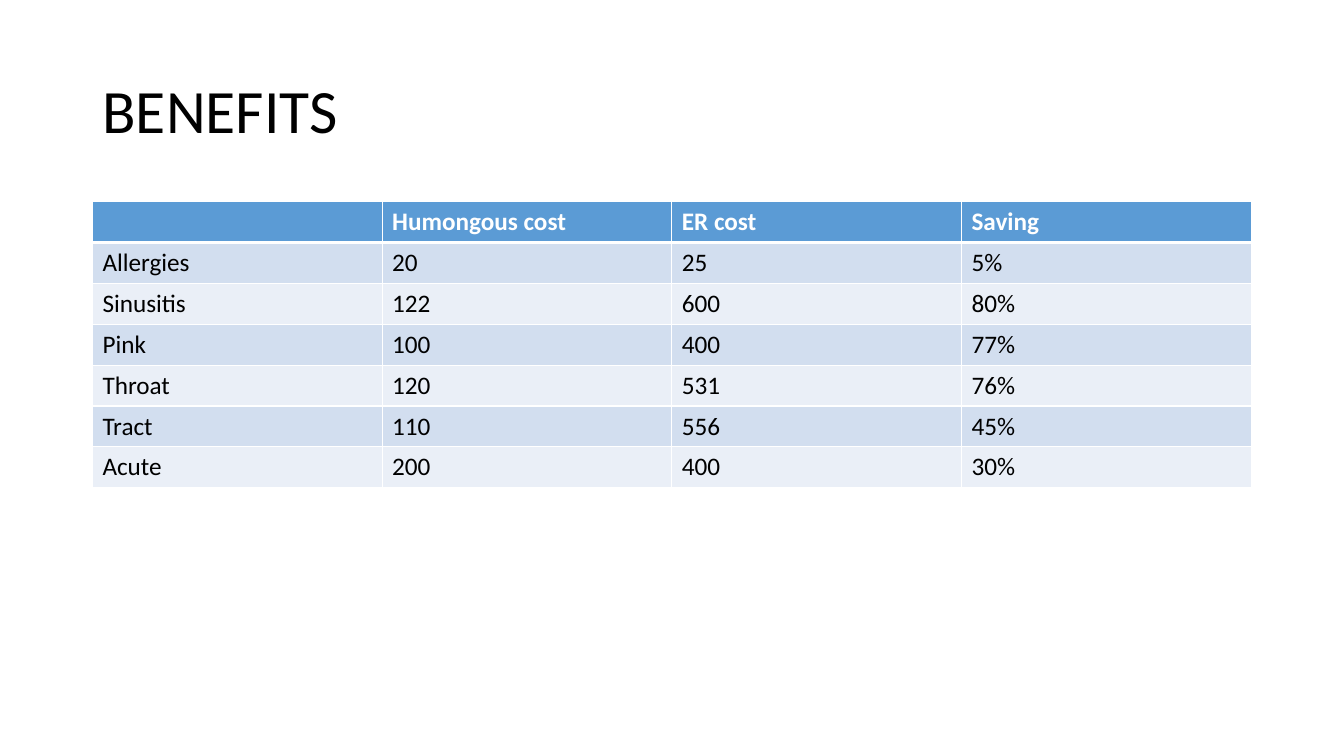
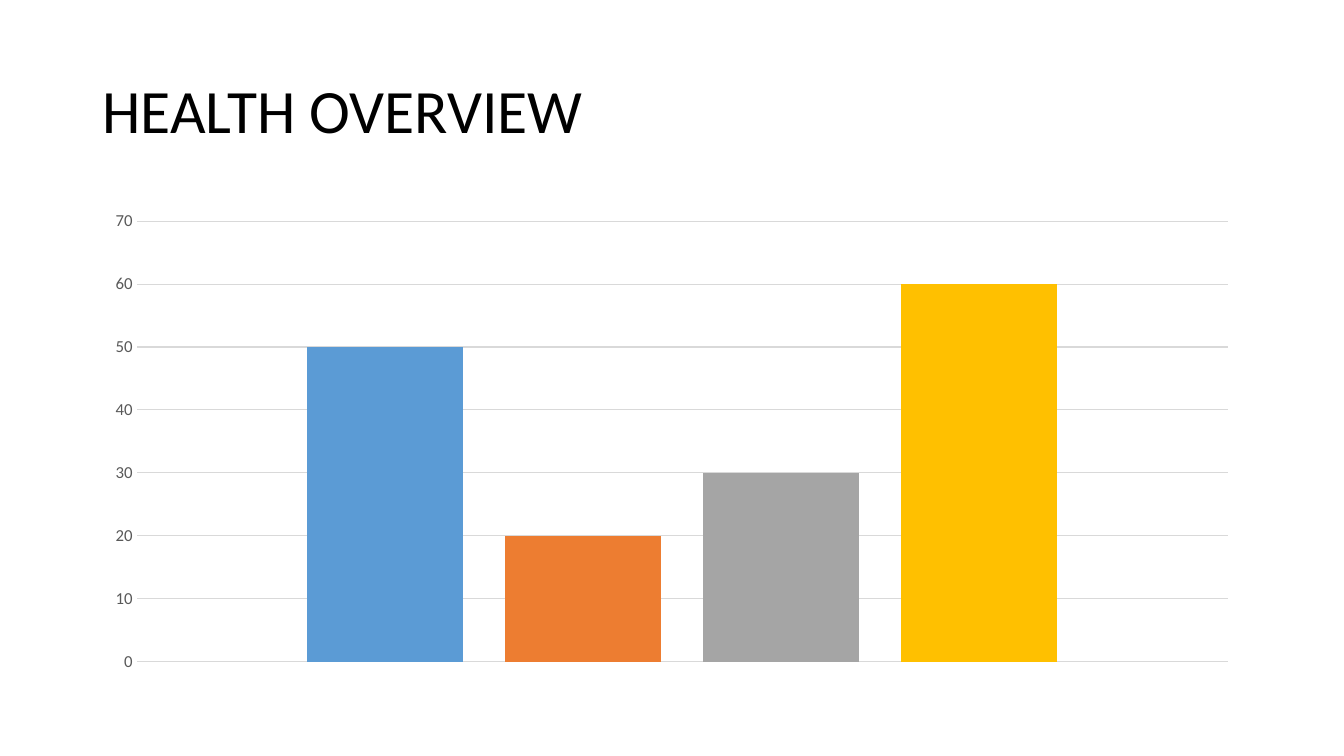
import lxml.etree
import pptx
import pptx.chart.data
import pptx.dml.color
import pptx.enum.chart
import pptx.enum.text
import pptx.oxml.ns
import pptx.util

Cm = pptx.util.Cm
Pt = pptx.util.Pt
RGBColor = pptx.dml.color.RGBColor

BLACK = RGBColor(0x00, 0x00, 0x00)
WHITE = RGBColor(0xFF, 0xFF, 0xFF)
BLUE = RGBColor(0x5B, 0x9B, 0xD5)
ORANGE = RGBColor(0xED, 0x7D, 0x31)
GRAY = RGBColor(0xA5, 0xA5, 0xA5)
GOLD = RGBColor(0xFF, 0xC0, 0x00)
BAND_DARK = RGBColor(0xD2, 0xDE, 0xEF)
BAND_LIGHT = RGBColor(0xEA, 0xEF, 0xF7)
GRID = RGBColor(0xD9, 0xD9, 0xD9)
AXIS_TEXT = RGBColor(0x59, 0x59, 0x59)

FONT = "Calibri"
LEFT, WIDTH = Cm(2.33), Cm(29.2)
CONTENT_TOP = Cm(5.08)
ROW_HEIGHT = Cm(1.03)

COSTS = [
    ("", "Humongous cost", "ER cost", "Saving"),
    ("Allergies", "20", "25", "5%"),
    ("Sinusitis", "122", "600", "80%"),
    ("Pink", "100", "400", "77%"),
    ("Throat", "120", "531", "76%"),
    ("Tract", "110", "556", "45%"),
    ("Acute", "200", "400", "30%"),
]
HEALTH = [
    ("Series 1", 50, BLUE),
    ("Series 2", 20, ORANGE),
    ("Series 3", 30, GRAY),
    ("Series 4", 60, GOLD),
]


class Deck:
    """Holds the shared style and the slide being built."""

    def __init__(self):
        self.presentation = pptx.Presentation()
        self.presentation.slide_width = Cm(33.87)
        self.presentation.slide_height = Cm(19.05)
        self.slide = None

    def style(self, font, size, color, bold=False):
        font.name = FONT
        font.size = Pt(size)
        font.color.rgb = color
        font.bold = bold

    def add_slide(self, title):
        layout = self.presentation.slide_layouts.get_by_name("Title Only")
        self.slide = self.presentation.slides.add_slide(layout)
        shape = self.slide.shapes.title
        shape.left, shape.top = LEFT, Cm(1.01)
        shape.width, shape.height = WIDTH, Cm(3.68)
        shape.text_frame.text = title
        shape.text_frame.vertical_anchor = pptx.enum.text.MSO_ANCHOR.MIDDLE
        paragraph = shape.text_frame.paragraphs[0]
        paragraph.alignment = pptx.enum.text.PP_ALIGN.LEFT
        paragraph.line_spacing = 0.9
        self.style(paragraph.runs[0].font, 44, BLACK)

    def add_borders(self, cell, top, bottom):
        properties = cell._tc.get_or_add_tcPr()
        qn = pptx.oxml.ns.qn
        for side, points in (("L", 1), ("R", 1), ("T", top), ("B", bottom)):
            line = lxml.etree.SubElement(properties, qn(f"a:ln{side}"), w=str(Pt(points)))
            fill = lxml.etree.SubElement(line, qn("a:solidFill"))
            lxml.etree.SubElement(fill, qn("a:srgbClr"), val=str(WHITE))

    def add_table(self, rows):
        table = self.slide.shapes.add_table(
            len(rows), len(rows[0]), LEFT, CONTENT_TOP, WIDTH, ROW_HEIGHT * len(rows)
        ).table
        for row_index, row in enumerate(rows):
            header = row_index == 0
            band = BAND_DARK if row_index % 2 else BAND_LIGHT
            for column_index, text in enumerate(row):
                cell = table.cell(row_index, column_index)
                self.add_borders(cell, 3 if row_index == 1 else 1, 3 if header else 1)
                cell.fill.solid()
                cell.fill.fore_color.rgb = BLUE if header else band
                cell.text_frame.text = text
                for run in cell.text_frame.paragraphs[0].runs:
                    self.style(run.font, 18, WHITE if header else BLACK, header)

    def add_column_chart(self, series_rows):
        data = pptx.chart.data.CategoryChartData()
        data.categories = ["1"]
        for name, value, _ in series_rows:
            data.add_series(name, [value])
        chart = self.slide.shapes.add_chart(
            pptx.enum.chart.XL_CHART_TYPE.COLUMN_CLUSTERED,
            LEFT, CONTENT_TOP, WIDTH, Cm(12.09), data,
        ).chart
        self.style(chart.font, 10, BLACK)
        chart.has_title = False
        chart.has_legend = False
        plot = chart.plots[0]
        plot.vary_by_categories = False
        plot.gap_width = 219
        plot.overlap = -27
        for series, (_, _, color) in zip(plot.series, series_rows):
            series.format.fill.solid()
            series.format.fill.fore_color.rgb = color
        chart.category_axis.visible = False
        axis = chart.value_axis
        axis.minimum_scale, axis.maximum_scale, axis.major_unit = 0, 70, 10
        axis.major_tick_mark = pptx.enum.chart.XL_TICK_MARK.NONE
        axis.format.line.fill.background()
        self.style(axis.tick_labels.font, 12, AXIS_TEXT)
        gridline = axis.major_gridlines.format.line
        gridline.color.rgb = GRID
        gridline.width = Pt(0.75)


def main():
    deck = Deck()
    deck.add_slide("BENEFITS")
    deck.add_table(COSTS)
    deck.add_slide("HEALTH OVERVIEW")
    deck.add_column_chart(HEALTH)
    deck.presentation.save("out.pptx")


if __name__ == "__main__":
    main()
